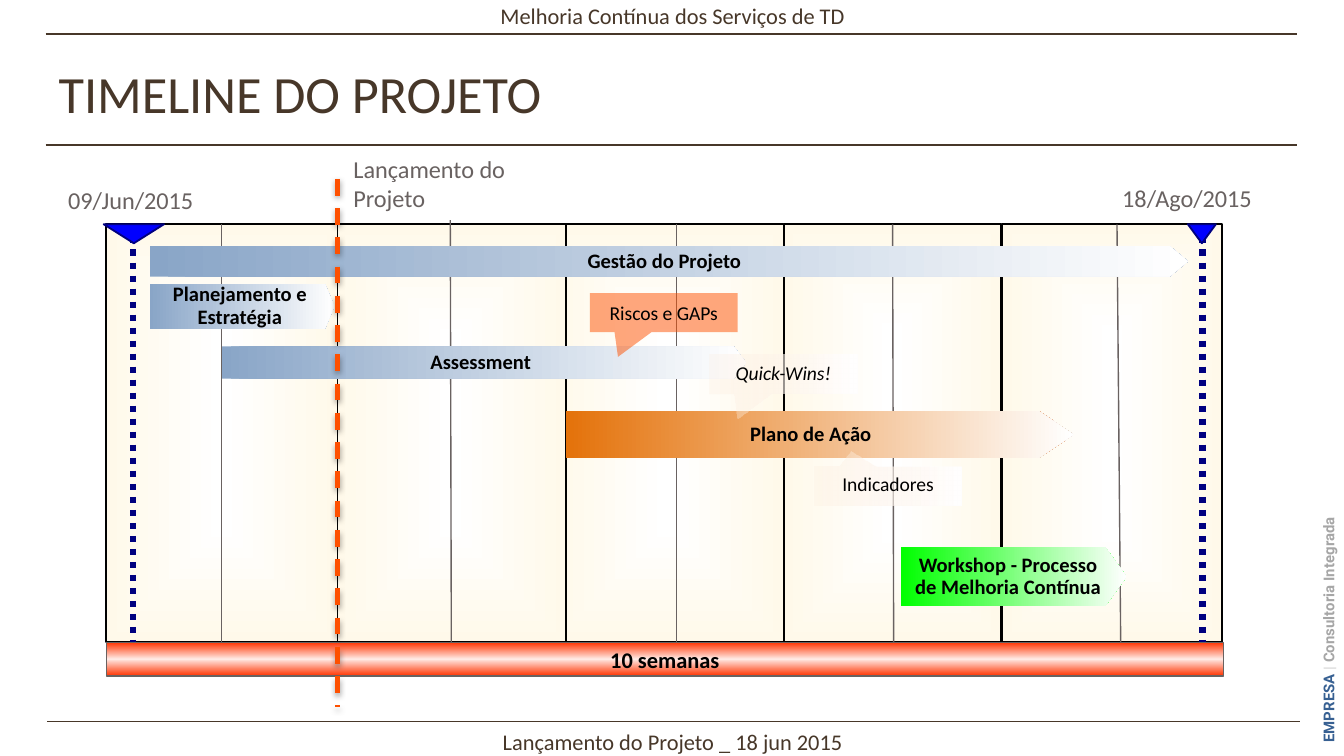
from collections import namedtuple

from lxml import etree
from pptx import Presentation
from pptx.dml.color import RGBColor
from pptx.enum.dml import MSO_LINE
from pptx.enum.shapes import MSO_CONNECTOR, MSO_SHAPE
from pptx.enum.text import MSO_ANCHOR, PP_ALIGN
from pptx.oxml.ns import qn
from pptx.util import Cm, Pt

STRAIGHT = MSO_CONNECTOR.STRAIGHT
RECTANGLE = MSO_SHAPE.RECTANGLE
PENTAGON = MSO_SHAPE.PENTAGON
TRIANGLE = MSO_SHAPE.ISOSCELES_TRIANGLE
CALLOUT = MSO_SHAPE.RECTANGULAR_CALLOUT
ROUND_DOT, DASH = MSO_LINE.ROUND_DOT, MSO_LINE.DASH
TOP, MIDDLE = MSO_ANCHOR.TOP, MSO_ANCHOR.MIDDLE
LEFT, CENTER = PP_ALIGN.LEFT, PP_ALIGN.CENTER

BROWN = RGBColor(0x47, 0x37, 0x29)
GRAY = RGBColor(0x69, 0x62, 0x61)
MID_GRAY = RGBColor(0xA6, 0xA6, 0xA6)
LIGHT_GRAY = RGBColor(0xD9, 0xD9, 0xD9)
BLACK = RGBColor(0x00, 0x00, 0x00)
WHITE = RGBColor(0xFF, 0xFF, 0xFF)
CREAM = RGBColor(0xFF, 0xF9, 0xEA)
STEEL = RGBColor(0x37, 0x60, 0x92)
NAVY = RGBColor(0x00, 0x00, 0x80)
BLUE = RGBColor(0x00, 0x00, 0xFF)
SOFT_BLUE = RGBColor(0x89, 0xA5, 0xC7)
AMBER = RGBColor(0xE4, 0x72, 0x0A)
GREEN = RGBColor(0x00, 0xFF, 0x00)
ORANGE = RGBColor(0xFE, 0x50, 0x00)
RED = RGBColor(0xFF, 0x33, 0x00)
BLUSH = RGBColor(0xFF, 0xEA, 0xE5)
PEACH = RGBColor(0xFD, 0xEB, 0xDB)

Box = namedtuple("Box", "left top width height")


def inside(box, left, top, width, height):
    return Box(box.left + left, box.top + top, width, height)


def add_line(page, start, end, color, width=0.75, dash=None):
    line = page.shapes.add_connector(STRAIGHT, *(Cm(value) for value in start + end))
    line.line.color.rgb = color
    line.line.width = Pt(width)
    if dash is not None:
        line.line.dash_style = dash
    return etree.SubElement(line._element.spPr, qn("a:effectLst"))


def write(frame, spans, size, font="Calibri", align=LEFT, anchor=TOP, spacing=None):
    frame.word_wrap = True
    frame.vertical_anchor = anchor
    para = frame.paragraphs[0]
    para.alignment = align
    if spacing:
        para.line_spacing = spacing
    for text, color, bold, italic in spans:
        span = para.add_run()
        span.text = text
        span.font.name = font
        span.font.size = Pt(size)
        span.font.bold = bold
        span.font.italic = italic
        span.font.color.rgb = color


def add_label(page, box, text, size, color, **style):
    label = page.shapes.add_textbox(*(Cm(value) for value in box))
    write(label.text_frame, [(text, color, False, False)], size, **style)
    return label.text_frame


def add_block(page, kind, box, border=None, border_width=1):
    block = page.shapes.add_shape(kind, *(Cm(value) for value in box))
    block.shadow.inherit = False
    if border is None:
        block.line.fill.background()
    else:
        block.line.color.rgb = border
        block.line.width = Pt(border_width)
    return block


def set_alpha(color_node, percent):
    etree.SubElement(color_node, qn("a:alpha"), val=str(percent * 1000))


def fill_gradient(block, colors, angle=0, from_center=False, first_alpha=100):
    block.fill.gradient()
    gradient = block._element.spPr.find(qn("a:gradFill"))
    for child in list(gradient):
        gradient.remove(child)
    stops = etree.SubElement(gradient, qn("a:gsLst"))
    for index, color in enumerate(colors):
        position = 100000 * index // (len(colors) - 1)
        stop = etree.SubElement(stops, qn("a:gs"), pos=str(position))
        color_node = etree.SubElement(stop, qn("a:srgbClr"), val=str(color))
        if index == 0 and first_alpha < 100:
            set_alpha(color_node, first_alpha)
    if from_center:
        shade = etree.SubElement(gradient, qn("a:path"), path="shape")
        etree.SubElement(shade, qn("a:fillToRect"), {side: "50000" for side in "ltrb"})
    else:
        etree.SubElement(gradient, qn("a:lin"), ang=str(angle * 60000), scaled="0")


def add_header(page, box):
    right = box.left + box.width
    for offset in (0.64, 2.74):
        y = box.top + offset
        add_line(page, (box.left, y), (right, y), BROWN)
    add_label(page, inside(box, 0, 1.27, box.width, 1.3), "TIMELINE DO PROJETO",
              28, BROWN, spacing=0.8)
    caption = inside(box, 7.45, -0.03, 8.81, 0.66)
    add_label(page, caption, "Melhoria Contínua dos Serviços de TD", 12, BROWN,
              align=CENTER, anchor=MIDDLE)


def add_footer(page, box):
    add_line(page, (box.left, box.top), (box.left + box.width, box.top), BROWN)
    add_label(page, inside(box, 7.42, 0, 8.81, box.height),
              "Lançamento do Projeto _ 18 jun 2015", 12, BROWN, align=CENTER)


def add_side_signature(page, box):
    label = page.shapes.add_textbox(*(Cm(value) for value in box))
    label.rotation = 270
    write(label.text_frame, [("EMPRESA ", STEEL, True, False),
                             ("| ", LIGHT_GRAY, True, False),
                             ("Consultoria Integrada", MID_GRAY, True, False)],
          8, font="Roboto")


def add_calendar(page, box):
    bands = [(8.43, 4.37), (12.8, 4.11), (16.92, 4.17), (4.32, 4.37), (0, 4.37)]
    for left, width in bands:
        band = add_block(page, RECTANGLE, inside(box, left, 0, width, box.height), BLACK)
        fill_gradient(band, (WHITE, CREAM), from_center=True)
    weeks = [(2.18, 0, 2.18, 7.9), (6.5, -0.08, 6.52, 8.23), (10.77, 0, 10.77, 7.9),
             (14.86, 0, 14.88, 8.23), (19.1, 0, 19.17, 7.9)]
    for x1, y1, x2, y2 in weeks:
        add_line(page, (box.left + x1, box.top + y1), (box.left + x2, box.top + y2), GRAY)


def add_milestones(page, box):
    milestones = [("09/Jun/2015", 0.5, -0.05, 1.14, (-0.97, -0.86, 3.73, 0.81)),
                  ("18/Ago/2015", 20.72, 20.44, 0.53, (18.95, -0.91, 3.33, 0.81))]
    for date, x, flag_left, flag_width, date_area in milestones:
        add_line(page, (box.left + x, box.top + 0.23),
                 (box.left + x, box.top + box.height), NAVY, 3.5, ROUND_DOT)
        flag = add_block(page, TRIANGLE, inside(box, flag_left, 0, flag_width, 0.36), NAVY)
        flag.fill.solid()
        flag.fill.fore_color.rgb = BLUE
        flag._element.spPr.find(qn("a:xfrm")).set("flipV", "1")
        add_label(page, inside(box, *date_area), date, 13, GRAY)


def add_activities(page, box):
    activities = [
        ("Planejamento e Estratégia", SOFT_BLUE, 0.21, (0.83, 1.12, 3.48, 0.86)),
        ("Assessment", SOFT_BLUE, 0.38, (2.18, 2.31, 9.91, 0.61)),
        ("Gestão do Projeto", SOFT_BLUE, 0.6, (0.83, 0.41, 19.61, 0.58)),
        ("Plano de Ação", AMBER, 0.74, (8.68, 3.53, 9.6, 0.89)),
        ("Workshop - Processo de Melhoria Contínua", GREEN, 0.36, (15.01, 6.1, 4.27, 1.12)),
    ]
    for text, color, point, area in activities:
        arrow = add_block(page, PENTAGON, inside(box, *area))
        arrow.adjustments[0] = point
        fill_gradient(arrow, (color, WHITE))
        write(arrow.text_frame, [(text, BLACK, True, False)], 11,
              align=CENTER, anchor=MIDDLE, spacing=0.9)


def add_duration(page, box):
    bar = add_block(page, RECTANGLE, box, GRAY, 0.75)
    fill_gradient(bar, (RED, BLUSH, RED), angle=90)
    write(bar.text_frame, [("10 semanas", BLACK, True, False)], 12,
          align=CENTER, anchor=MIDDLE)


def add_callouts(page, box):
    callouts = [("Riscos e GAPs", 9.14, 1.3, (-0.31, 1.13), False, True),
                ("Quick-Wins!", 11.4, 2.47, (-0.31, 1.13), True, False),
                ("Indicadores", 13.38, 4.57, (-0.25, -0.88), False, False)]
    for text, left, top, tip, italic, strong in callouts:
        callout = add_block(page, CALLOUT, inside(box, left, top, 2.79, 0.74))
        callout.adjustments[0], callout.adjustments[1] = tip
        if strong:
            callout.fill.solid()
            callout.fill.fore_color.rgb = ORANGE
            set_alpha(callout._element.spPr.find(qn("a:solidFill"))[0], 50)
        else:
            fill_gradient(callout, (PEACH, WHITE), first_alpha=21)
        write(callout.text_frame, [(text, BLACK, False, italic)], 10.5,
              align=CENTER, anchor=MIDDLE, spacing=None if strong else 0.9)


def add_launch(page, box):
    x = box.left + 4.37
    effects = add_line(page, (x, box.top - 0.86), (x, box.top + 9.12), ORANGE, 2.25, DASH)
    shadow = etree.SubElement(effects, qn("a:outerShdw"), blurRad=str(Pt(3.1)),
                              dist=str(Pt(1.6)), dir="5400000", rotWithShape="0")
    set_alpha(etree.SubElement(shadow, qn("a:srgbClr"), val=str(BLACK)), 38)
    add_label(page, inside(box, 4.42, -1.45, 3.73, 1.37), "Lançamento do Projeto", 13, GRAY)


def main():
    deck = Presentation()
    deck.slide_width, deck.slide_height = Cm(25.4), Cm(14.29)
    page = deck.slides.add_slide(deck.slide_layouts[6])
    timeline = Box(2.01, 4.24, 21.11, 7.9)
    add_header(page, Box(0.86, 0, 23.65, 2.74))
    add_footer(page, Box(0.89, 13.64, 23.67, 0.66))
    add_side_signature(page, Box(22.56, 11.46, 5.08, 0.58))
    add_calendar(page, timeline)
    add_milestones(page, timeline)
    add_activities(page, timeline)
    add_duration(page, inside(timeline, 0, timeline.height, timeline.width, 0.64))
    add_callouts(page, timeline)
    add_launch(page, timeline)
    deck.save("out.pptx")


if __name__ == "__main__":
    main()
